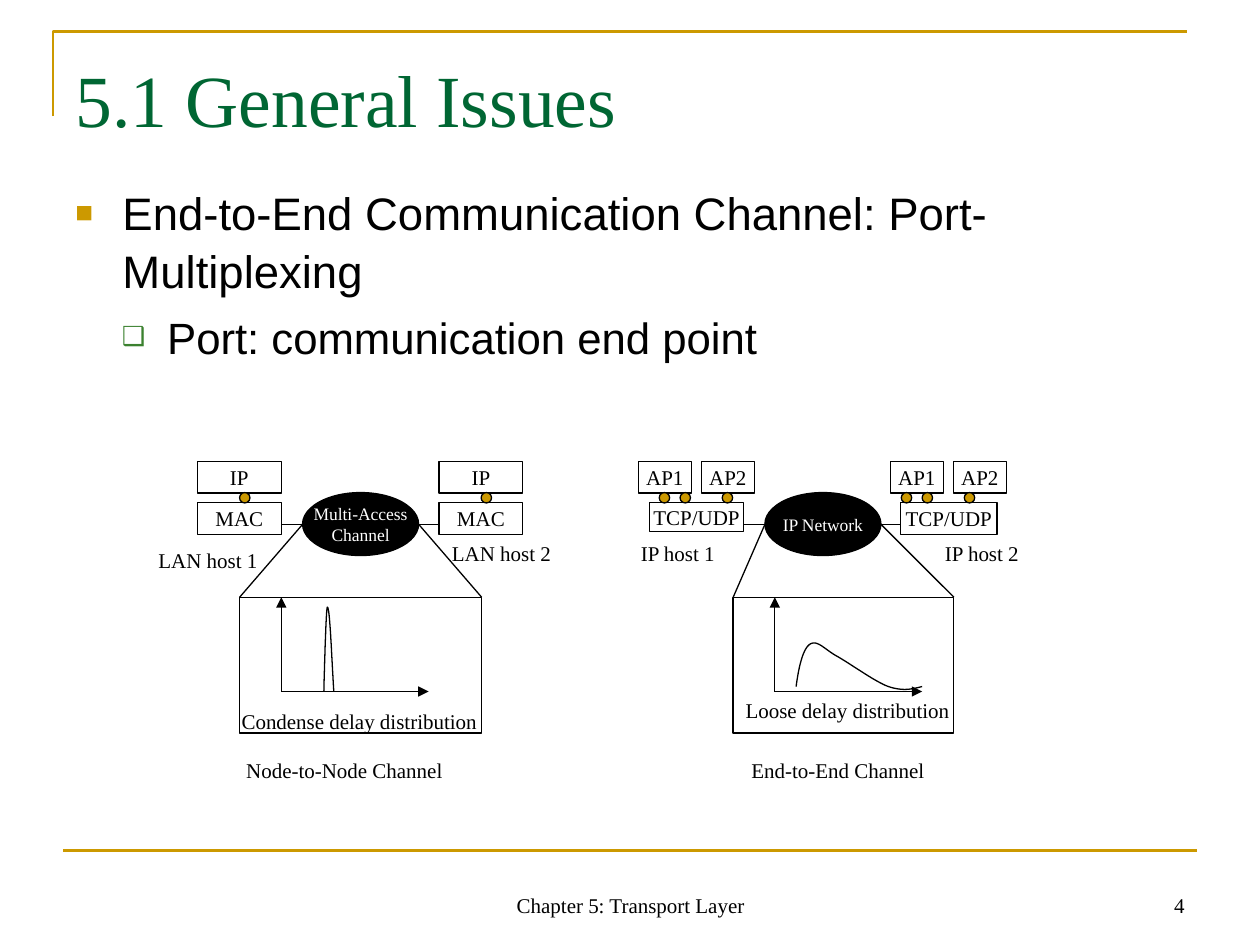
from typing import NamedTuple

from lxml import etree
from pptx import Presentation
from pptx import util as u
from pptx.dml.color import RGBColor
from pptx.enum import shapes, text
from pptx.oxml import ns

BLACK, WHITE, GOLD = "000000", "FFFFFF", "CC9900"
SERIF, SANS = "Times New Roman", "Arial"
RECT, OVAL = shapes.MSO_SHAPE.RECTANGLE, shapes.MSO_SHAPE.OVAL
LEFT, CENTER, RIGHT = text.PP_ALIGN.LEFT, text.PP_ALIGN.CENTER, text.PP_ALIGN.RIGHT
TOP, MIDDLE, BOTTOM = text.MSO_ANCHOR.TOP, text.MSO_ANCHOR.MIDDLE, text.MSO_ANCHOR.BOTTOM

# Shared rows of the two diagrams, in centimetres
UPPER_Y, PORT_Y, LOWER_Y, LINK_Y = 9.3, 9.93, 10.13, 10.57
ZOOM_Y, AXIS_Y, CAPTION_Y = 12.04, 13.94, 15.21
BOX_H, PORT_SIZE, LABEL_H = 0.64, 0.21, 0.76


class Box(NamedTuple):
    x: float
    y: float
    w: float
    h: float
    words: str = ""


class Host(NamedTuple):
    uppers: list[Box]
    lower: Box
    ports: list[float]


class Channel(NamedTuple):
    cloud: Box
    link: tuple[float, float]
    zoom: Box
    axis_x: float
    curve: list[tuple[float, float]]
    hosts: list[Host]
    labels: list[Box]
    captions: list[Box]


def color(value: str) -> RGBColor:
    return RGBColor.from_string(value)


def write(shape, words: str, size: float, ink: str = BLACK, face: str = SERIF,
          align=CENTER, anchor=MIDDLE, wrap: bool = False) -> None:
    frame = shape.text_frame
    settings = {"word_wrap": wrap, "vertical_anchor": anchor,
                "auto_size": text.MSO_AUTO_SIZE.NONE}
    for name, value in settings.items():
        setattr(frame, name, value)
    frame.text = words
    for para in frame.paragraphs:
        para.alignment = align
        for span in para.runs:
            for name, value in {"size": u.Pt(size), "name": face}.items():
                setattr(span.font, name, value)
            span.font.color.rgb = color(ink)


def add_box(page, kind, box: Box, fill: str = WHITE, outlined: bool = True,
            ink: str = BLACK, size: float = 12):
    shape = page.shapes.add_shape(kind, *map(u.Cm, box[:4]))
    shape.shadow.inherit = False
    shape.fill.solid()
    shape.fill.fore_color.rgb = color(fill)
    if outlined:
        shape.line.color.rgb = color(BLACK)
        shape.line.width = u.Pt(0.75)
    else:
        shape.line.fill.background()
    if box.words:
        write(shape, box.words, size, ink)


def add_label(page, box: Box, **style):
    shape = page.shapes.add_textbox(*map(u.Cm, box[:4]))
    write(shape, box.words, 12, **style)


def add_line(page, x1: float, y1: float, x2: float, y2: float,
             ink: str = BLACK, width: float = 0.75, arrow: bool = False) -> None:
    line = page.shapes.add_connector(shapes.MSO_CONNECTOR.STRAIGHT,
                                     *map(u.Cm, (x1, y1, x2, y2)))
    line.line.color.rgb = color(ink)
    line.line.width = u.Pt(width)
    if arrow:
        etree.SubElement(line.line._get_or_add_ln(), ns.qn("a:tailEnd"), type="triangle")
    etree.SubElement(line._element.spPr, ns.qn("a:effectLst"))


def add_outline(page, points: list[tuple[float, float]],
                ink: str = BLACK, width: float = 0.75) -> None:
    start, *rest = [(u.Cm(x), u.Cm(y)) for x, y in points]
    builder = page.shapes.build_freeform(*start)
    builder.add_line_segments(rest, close=False)
    shape = builder.convert_to_shape()
    shape.shadow.inherit = False
    shape.fill.background()
    shape.line.color.rgb = color(ink)
    shape.line.width = u.Pt(width)


def trace_bezier(nodes: list[tuple[float, float]], steps: int = 16):
    """Sample chained cubic curves: a start, then three nodes per curve."""
    points = [nodes[0]]
    for first in range(0, len(nodes) - 1, 3):
        curve = nodes[first:first + 4]
        for step in range(1, steps + 1):
            t = step / steps
            weights = ((1 - t) ** 3, 3 * t * (1 - t) ** 2, 3 * t * t * (1 - t), t ** 3)
            points.append(tuple(sum(k * node[axis] for k, node in zip(weights, curve))
                                for axis in (0, 1)))
    return points


def add_bullet(para, mark: str, ink: str, percent: int, left: float, hang: float) -> None:
    props = para._p.get_or_add_pPr()
    props.set("marL", str(u.Cm(left)))
    props.set("indent", str(-u.Cm(hang)))
    tint = etree.SubElement(props, ns.qn("a:buClr"))
    etree.SubElement(tint, ns.qn("a:srgbClr"), val=ink)
    etree.SubElement(props, ns.qn("a:buSzPct"), val=str(percent * 1000))
    etree.SubElement(props, ns.qn("a:buFont"), typeface=SANS)
    etree.SubElement(props, ns.qn("a:buChar"), char=mark)


def draw_channel(page, channel: Channel) -> None:
    cloud, zoom, x = channel.cloud, channel.zoom, channel.axis_x
    add_line(page, channel.link[0], LINK_Y, channel.link[1], LINK_Y)
    add_box(page, RECT, zoom)
    add_box(page, OVAL, cloud, fill=BLACK, ink=WHITE, size=10)
    for host in channel.hosts:
        for box in [host.lower, *host.uppers]:
            add_box(page, RECT, box)
        for port_x in host.ports:
            add_box(page, OVAL, Box(port_x, PORT_Y, PORT_SIZE, PORT_SIZE), fill=GOLD)
    # Delay distribution and the lines that magnify it
    add_line(page, x, AXIS_Y, x, ZOOM_Y, arrow=True)
    add_line(page, x, AXIS_Y, x + 2.97, AXIS_Y, arrow=True)
    add_outline(page, trace_bezier(channel.curve))
    add_line(page, cloud.x, LINK_Y, zoom.x, ZOOM_Y)
    add_line(page, cloud.x + cloud.w, LINK_Y, zoom.x + zoom.w, ZOOM_Y)
    for box in channel.captions:
        add_box(page, RECT, box, outlined=False)
    for box in channel.labels:
        add_label(page, box, align=LEFT, anchor=TOP)


def lan_host(x: float) -> Host:
    return Host([Box(x, UPPER_Y, 1.69, BOX_H, "IP")],
                Box(x, LOWER_Y, 1.69, BOX_H, "MAC"), [x + 0.85])


def ip_host(x: float, lower: Box, first_port: float) -> Host:
    uppers = [Box(x + 1.27 * i, UPPER_Y, 1.07, BOX_H, f"AP{i + 1}") for i in range(2)]
    return Host(uppers, lower, [x + first_port + gap for gap in (0, 0.42, 1.27)])


CHANNELS = [
    Channel(
        Box(6.1, PORT_Y, 2.34, 1.27, "Multi-Access\nChannel"), (5.67, 9.07),
        Box(4.83, ZOOM_Y, 4.88, 2.74), 5.67,
        [(6.53, 13.94), (6.55, 13.11), (6.58, 12.24), (6.6, 12.24),
         (6.65, 12.24), (6.68, 13.11), (6.73, 13.94)],
        [lan_host(3.98), lan_host(8.85)],
        [Box(4.62, 14.15, 5.26, LABEL_H, "Condense delay distribution"),
         Box(8.86, 10.77, 2.49, LABEL_H, "LAN host 2")],
        [Box(6.1, CAPTION_Y, 1.69, BOX_H, "Node-to-Node Channel"),
         Box(3.35, 10.97, 1.69, BOX_H, "LAN host 1")]),
    Channel(
        Box(15.42, PORT_Y, 2.34, 1.27, "IP Network"), (14.99, 18.36),
        Box(14.78, ZOOM_Y, 4.45, 2.74), 15.62,
        [(16.05, 13.84), (16.1, 13.46), (16.18, 13.11), (16.31, 13),
         (16.46, 12.88), (16.59, 13.06), (16.84, 13.21),
         (17.12, 13.36), (17.63, 13.74), (17.91, 13.84),
         (18.21, 13.94), (18.39, 13.89), (18.59, 13.84)],
        [ip_host(12.87, Box(13.1, LOWER_Y, 1.89, 0.59, "TCP/UDP"), 0.42),
         ip_host(17.95, Box(18.16, LOWER_Y, 1.94, 0.65, "TCP/UDP"), 0.22)],
        [Box(14.78, 13.94, 4.62, LABEL_H, "Loose delay distribution"),
         Box(12.67, 10.77, 2.01, LABEL_H, "IP host 1"),
         Box(18.8, 10.77, 2.01, LABEL_H, "IP host 2")],
        [Box(16.05, CAPTION_Y, 1.69, BOX_H, "End-to-End Channel")]),
]


def main() -> None:
    deck = Presentation()
    deck.slide_width, deck.slide_height = u.Cm(25.4), u.Cm(19.05)
    page = deck.slides.add_slide(deck.slide_layouts[5])

    # Frame lines and footer
    add_outline(page, [(1.07, 2.34), (1.07, 0.64), (23.93, 0.64)], GOLD, 1.5)
    add_line(page, 1.27, 17.15, 24.13, 17.15, GOLD, 1.5)
    add_label(page, Box(8.69, 17.35, 8.05, 1.27, "Chapter 5: Transport Layer"),
              anchor=BOTTOM, wrap=True)
    add_label(page, Box(18.21, 17.35, 5.92, 1.27, "4"), align=RIGHT, anchor=BOTTOM, wrap=True)

    # Title
    title = page.shapes.title
    title.left, title.top, title.width, title.height = map(u.Cm, (1.27, 0.76, 22.86, 3.18))
    write(title, "5.1 General Issues", 42, "006633", align=LEFT, anchor=TOP, wrap=True)
    title.text_frame.margin_top = u.Cm(0.33)

    # Bulleted text
    body = page.shapes.add_textbox(*map(u.Cm, (1.27, 3.53, 22.86, 5.2)))
    write(body, "End-to-End Communication Channel: Port-Multiplexing\n"
          "Port: communication end point", 26, face=SANS, align=LEFT, anchor=TOP, wrap=True)
    body.text_frame.margin_top = u.Cm(0.15)
    topic, detail = body.text_frame.paragraphs
    topic.line_spacing = detail.line_spacing = 1.05
    detail.level, detail.space_before = 1, u.Pt(6.2)
    detail.runs[0].font.size = u.Pt(25)
    add_bullet(topic, "■", GOLD, 65, 0.95, 0.95)
    add_bullet(detail, "❑", "3B812F", 60, 1.85, 0.91)

    # The two channel diagrams
    for channel in CHANNELS:
        draw_channel(page, channel)

    deck.save("out.pptx")


if __name__ == "__main__":
    main()
